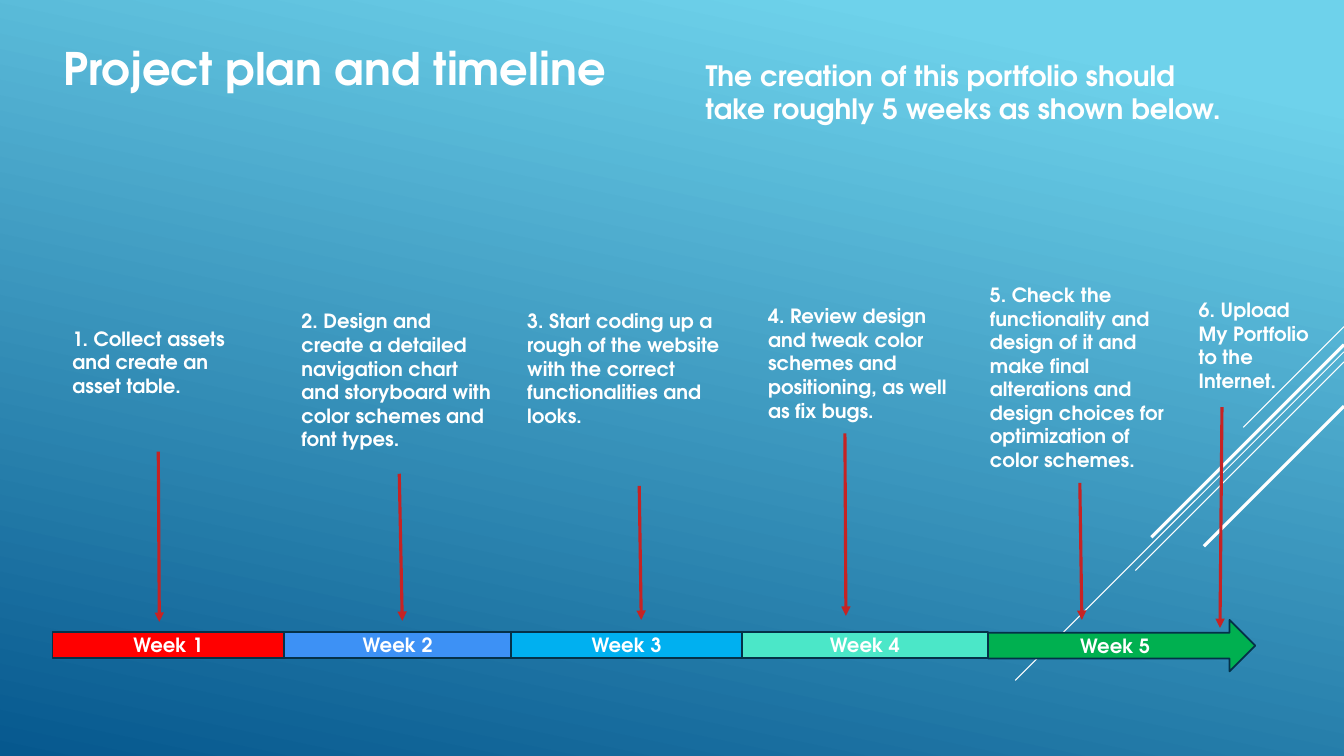
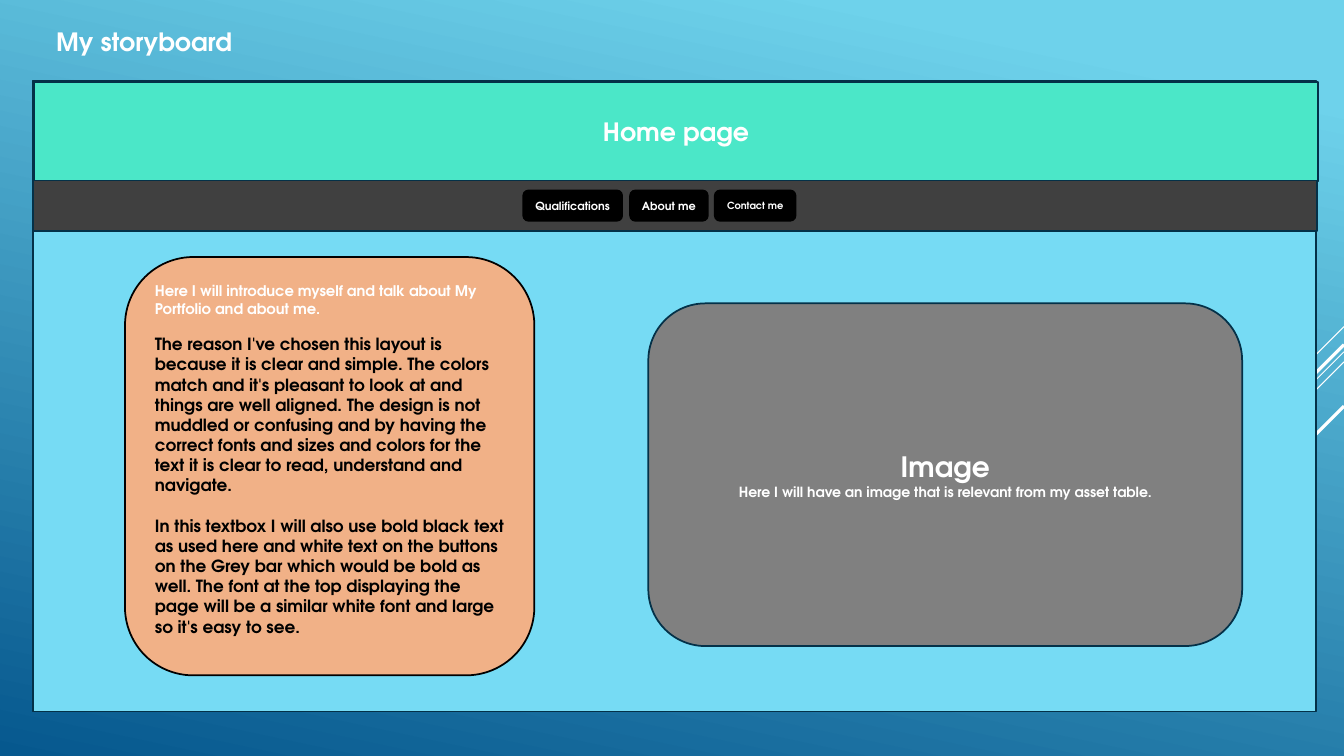
from lxml import etree
from pptx import Presentation
from pptx.dml.color import RGBColor
from pptx.enum import shapes, text
from pptx.oxml import ns
from pptx.util import Inches, Pt

WHITE = RGBColor(0xFF, 0xFF, 0xFF)
BLACK = RGBColor(0, 0, 0)
SKY = RGBColor(0x6E, 0xD2, 0xEB)
DEEP = RGBColor(0x06, 0x58, 0x8E)
NAVY = RGBColor(0x04, 0x31, 0x48)
RED = RGBColor(0xFF, 0, 0)
BRICK = RGBColor(0xC6, 0x23, 0x24)
BLUE = RGBColor(0x3D, 0x91, 0xF5)
AZURE = RGBColor(0, 0xB0, 0xF0)
MINT = RGBColor(0x4B, 0xE7, 0xC8)
GREEN = RGBColor(0, 0xB0, 0x50)
PALE = RGBColor(0x76, 0xDB, 0xF4)
PEACH = RGBColor(0xF1, 0xB1, 0x87)
GREY = RGBColor(0x80, 0x80, 0x80)
DARK = RGBColor(0x40, 0x40, 0x40)

RECT = shapes.MSO_SHAPE.RECTANGLE
ROUND = shapes.MSO_SHAPE.ROUNDED_RECTANGLE
ARROW = shapes.MSO_SHAPE.RIGHT_ARROW
LEFT, MID = text.PP_ALIGN.LEFT, text.PP_ALIGN.CENTER
TOP, CORE = text.MSO_ANCHOR.TOP, text.MSO_ANCHOR.MIDDLE
FONT = {"name": "TeX Gyre Adventor", "bold": True}
RAYS = [(3.24, 1, 0.75), (3.49, 3.26, 0.75), (3.59, 2.07, 0.75),
        (3.42, 1.91, 2.25), (4.03, 1.39, 2.25)]
WIDE = 13.33


def apply(item, form):
    for key, value in form.items():
        setattr(item, key, value)


class Deck:
    def __init__(self):
        self.file = Presentation()
        apply(self.file, {"slide_width": Inches(WIDE), "slide_height": Inches(7.5)})

    def page(self):
        self.slide = self.file.slides.add_slide(self.file.slide_layouts[6])
        fill = self.slide.background.fill
        fill.gradient()
        fill.gradient_angle = 258
        for stop, spot, tone in zip(fill.gradient_stops, (0.1, 1), (SKY, DEEP)):
            stop.position = spot
            stop.color.rgb = tone
        for top, run, width in RAYS:
            self.line((WIDE, top), (WIDE - run, top + run), WHITE, width)

    def line(self, start, end, tone, width, head=False):
        ends = [Inches(n) for n in start + end]
        line = self.slide.shapes.add_connector(shapes.MSO_CONNECTOR.STRAIGHT, *ends)
        line.line.color.rgb = tone
        line.line.width = Pt(width)
        props = line._element.spPr
        if head:
            tail = etree.SubElement(props.get_or_add_ln(), ns.qn("a:tailEnd"))
            tail.set("type", "triangle")
        etree.SubElement(props, ns.qn("a:effectLst"))

    def words(self, shape, parts, align=LEFT, anchor=TOP, wrap=True):
        frame = shape.text_frame
        apply(frame, {"word_wrap": wrap, "vertical_anchor": anchor})
        for i, (words, size, tone, gap) in enumerate(parts):
            para = frame.add_paragraph() if i else frame.paragraphs[0]
            apply(para, {"alignment": align, "space_after": Pt(gap)})
            run = para.add_run()
            run.text = words
            apply(run.font, {**FONT, "size": Pt(size)})
            run.font.color.rgb = tone

    def note(self, box, words, size, anchor=TOP):
        shape = self.slide.shapes.add_textbox(*map(Inches, box))
        self.words(shape, [(words, size, WHITE, 0)], anchor=anchor)

    def shape(self, kind, box, fill, edge=NAVY):
        shape = self.slide.shapes.add_shape(kind, *map(Inches, box))
        shape.shadow.inherit = False
        shape.fill.solid()
        shape.fill.fore_color.rgb = fill
        shape.line.color.rgb = edge
        shape.line.width = Pt(1.25)
        return shape

    def label(self, kind, box, fill, words, size, edge=NAVY):
        shape = self.shape(kind, box, fill, edge)
        self.words(shape, [(words, size, WHITE, 0)], MID, CORE, False)


STEPS = [
    ((0.62, 3.19, 1.85, 0.82), "1. Collect assets and create an asset table.",
     (1.57, 4.48), (1.58, 6.17)),
    ((2.89, 3.02, 2.12, 1.51), "2. Design and create a detailed navigation chart and "
     "storyboard with color schemes and font types.", (3.96, 4.7), (3.99, 6.16)),
    ((5.13, 3.02, 2.18, 1.28), "3. Start coding up a rough of the website with the "
     "correct functionalities and looks.", (6.34, 4.82), (6.36, 6.15)),
    ((7.52, 2.97, 2.09, 1.27), "4. Review design and tweak color schemes and "
     "positioning, as well as fix bugs.", (8.38, 4.3), (8.39, 6.11)),
    ((9.72, 2.76, 2, 2), "5. Check the functionality and design of it and make final "
     "alterations and design choices for optimization of color schemes.",
     (10.71, 4.79), (10.73, 6.15)),
    ((11.79, 2.91, 1.31, 1.04), "6. Upload My Portfolio to the Internet.",
     (12.12, 4.04), (12.1, 6.23)),
]
EDGES = [0.52, 2.82, 5.07, 7.36, 9.8, 12.45]
TONES = [RED, BLUE, AZURE, MINT, GREEN]

deck = Deck()
deck.page()
deck.note((0.53, 0.33, 5.82, 0.68), "Project plan and timeline", 32, CORE)
deck.note((6.9, 0.53, 5.51, 0.77),
          "The creation of this portfolio should take roughly 5 weeks as shown below.", 20)
for week, (left, right, tone) in enumerate(zip(EDGES, EDGES[1:], TONES), 1):
    last = week == len(TONES)
    kind, top, tall = (ARROW, 6.15, 0.51) if last else (RECT, 6.27, 0.26)
    deck.label(kind, (left, top, right - left, tall), tone, f"Week {week}", 14)
for box, words, start, end in STEPS:
    deck.note(box, words, 14)
    deck.line(start, end, BRICK, 2.25, True)

INTRO = [
    ("Here I will introduce myself and talk about My Portfolio and about me.",
     10.5, WHITE, 12),
    ("The reason I've chosen this layout is because it is clear and simple. The colors "
     "match and it's pleasant to look at and things are well aligned. The design is not "
     "muddled or confusing and by having the correct fonts and sizes and colors for the "
     "text it is clear to read, understand and navigate.", 12, BLACK, 14.4),
    ("In this textbox I will also use bold black text as used here and white text on the "
     "buttons on the Grey bar which would be bold as well. The font at the top displaying "
     "the page will be a similar white font and large so it's easy to see.", 12, BLACK, 0),
]
IMAGE = [
    ("Image", 20, WHITE, 0),
    ("Here I will have an image that is relevant from my asset table.", 10, WHITE, 0),
]
LINKS = [(5.19, 0.98, "Qualifications", 8), (6.25, 0.77, "About me", 8),
         (7.09, 0.8, "Contact me", 7)]

deck.page()
deck.shape(RECT, (0.33, 0.8, 12.72, 6.26), PALE)
deck.words(deck.shape(ROUND, (1.24, 2.55, 4.06, 4.15), PEACH, BLACK), INTRO)
deck.words(deck.shape(ROUND, (6.43, 3.01, 5.89, 3.4), GREY), IMAGE, MID, CORE)
deck.label(RECT, (0.34, 0.81, 12.73, 0.99), MINT, "Home page", 18)
deck.shape(RECT, (0.33, 1.79, 12.73, 0.5), DARK)
for left, wide, words, size in LINKS:
    deck.label(ROUND, (left, 1.89, wide, 0.3), BLACK, words, size, BLACK)
deck.note((0.46, 0.21, 12.53, 0.4), "My storyboard", 18)

deck.file.save("out.pptx")
